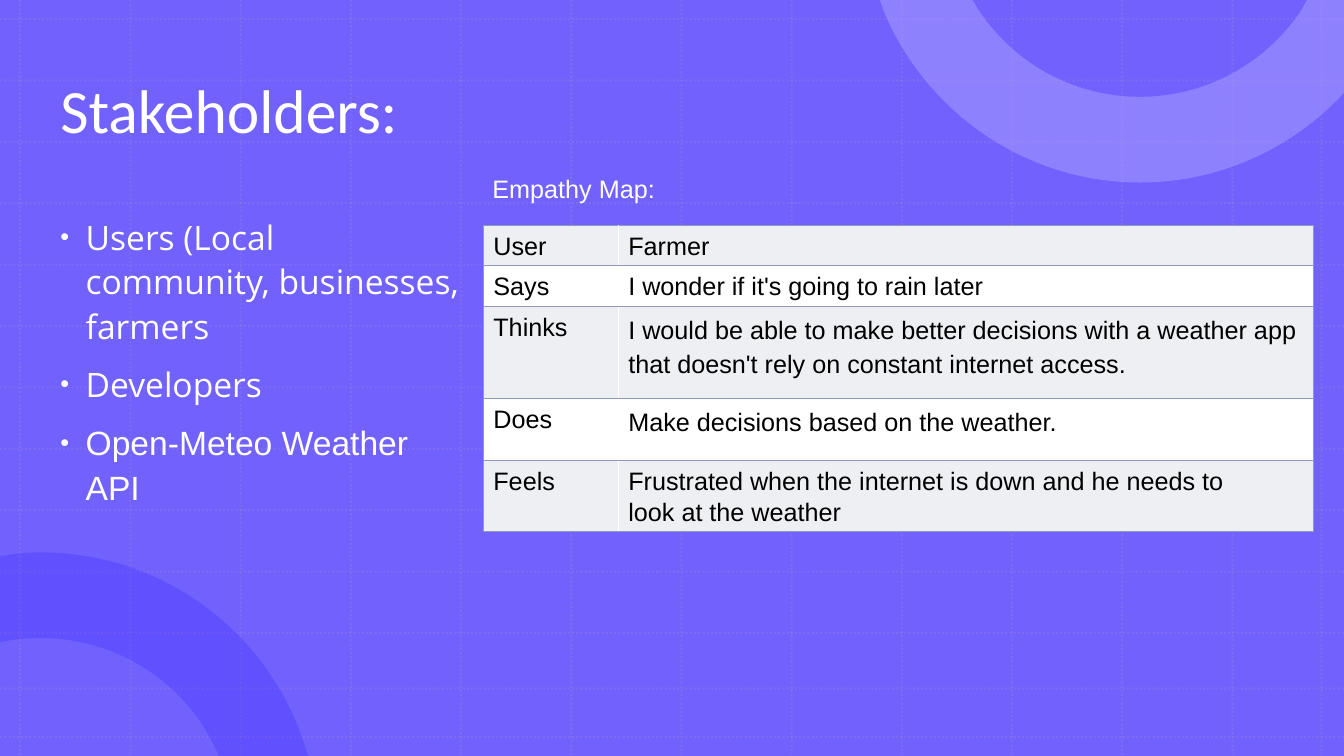
from lxml.etree import SubElement
from pptx import Presentation
from pptx.dml.color import RGBColor
from pptx.enum.dml import MSO_LINE
from pptx.enum.shapes import MSO_CONNECTOR, MSO_SHAPE
from pptx.enum.text import MSO_ANCHOR
from pptx.oxml.ns import qn
from pptx.util import Cm, Pt

WIDE, HIGH = 33.87, 19.05
HARD = chr(160)
COLORS = {"back": "7162FE", "grid": "B495C2", "low": "220BFD", "top": "AAA1FE",
          "white": "FFFFFF", "black": "000000", "band": "EEEFF3", "edge": "8F99BB"}
LOW = [[(1.02, 13.92)], [(4.17, 13.92), (6.83, 16), (7.7, 18.85)],
       [(7.77, HIGH)], [(5.51, HIGH)], [(5.51, 19.03)],
       [(4.78, 17.3), (3.05, 16.08), (1.02, 16.08)],
       [(0.69, 16.08), (0.36, 16.1), (0.05, 16.18)],
       [(-0.02, 16.18)], [(-0.02, 14.02)], [(0.3, 13.97)],
       [(0.53, 13.94), (0.79, 13.92), (1.02, 13.92)]]
TOP = [[(22.17, 0)], [(24.51, 0)], [(24.69, 0.3)],
       [(25.58, 1.6), (27.05, 2.44), (28.73, 2.44)],
       [(30.4, 2.44), (31.88, 1.6), (32.77, 0.3)],
       [(32.94, 0)], [(WIDE, 0)], [(WIDE, 2.34)], [(33.68, 2.54)],
       [(32.41, 3.81), (30.66, 4.6), (28.73, 4.6)],
       [(25.83, 4.6), (23.34, 2.82), (22.28, 0.3)]]
USERS = [("Users (Local community, businesses, farmers", "Open Sans"),
         ("Developers", "Open Sans"), ("Open-Meteo Weather API", "Arial")]
ROWS = [
    ("User", "Farmer", 0.87, 21.8),
    ("Says", "I wonder if it's going to rain later", 0.87, 21.8),
    ("Thinks", f"I would{HARD}be able to make better decisions with a weather{HARD}app "
     f"that{HARD}doesn't{HARD}rely on constant internet access.", 2.31, 24),
    ("Does", "Make decisions based on the weather.", 1.58, 24),
    ("Feels", "Frustrated when the internet is down and he needs to "
     f"look{HARD}at the weather", 1.52, 21.8),
]


def color(name):
    """Return the named colour."""
    return RGBColor.from_string(COLORS[name])


def fade(part, alpha):
    """Make the solid fill below an element partly clear."""
    tint = next(part.iter(qn("a:srgbClr")))
    SubElement(tint, qn("a:alpha"), val=str(alpha * 1000))


def paint(shape, name):
    """Give a shape a plain fill with no line or shadow."""
    shape.shadow.inherit = False
    shape.fill.solid()
    shape.fill.fore_color.rgb = color(name)
    shape.line.fill.background()


def rule(slide, x1, y1, x2, y2):
    """Draw one dotted grid line."""
    line = slide.shapes.add_connector(MSO_CONNECTOR.STRAIGHT,
                                      Cm(x1), Cm(y1), Cm(x2), Cm(y2))
    line.line.color.rgb = color("grid")
    line.line.width = Pt(1.5)
    line.line.dash_style = MSO_LINE.ROUND_DOT
    props = line._element.spPr
    fade(props, 20)
    SubElement(props, qn("a:effectLst"))


def grid(slide):
    """Draw the grid across the slide."""
    for x in [0.51 + 30.55 * i / 11 for i in range(12)] + [33.3]:
        rule(slide, x, 0, x, HIGH)
    for y in [0.48 + 15.47 * i / 10 for i in range(11)] + [17.35, 18.57]:
        rule(slide, 0, y, WIDE, y)


def ring(slide, steps, name, alpha):
    """Draw a ring part; steps of three points become curves."""
    dots = [(Cm(x), Cm(y)) for step in steps for x, y in step]
    build = slide.shapes.build_freeform(*dots[0])
    build.add_line_segments(dots[1:])
    shape = build.convert_to_shape()
    lines = list(shape._element.iter(qn("a:lnTo")))
    for step in steps[1:]:
        group, lines = lines[:len(step)], lines[len(step):]
        if len(group) == 3:
            curve = SubElement(group[0].getparent(), qn("a:cubicBezTo"))
            group[0].addprevious(curve)
            for line in group:
                curve.append(line[0])
                line.getparent().remove(line)
    paint(shape, name)
    fade(shape._element.spPr, alpha)


def style(para, size, font, name):
    """Format the runs of a paragraph."""
    for run in para.runs:
        run.font.size = Pt(size)
        run.font.name = font
        run.font.color.rgb = color(name)


def label(slide, x, y, wide, high, text, size, font):
    """Add a wrapped text box with one white line."""
    frame = slide.shapes.add_textbox(Cm(x), Cm(y), Cm(wide), Cm(high)).text_frame
    frame.word_wrap = True
    frame.text = text
    style(frame.paragraphs[0], size, font, "white")
    return frame


def bullet(para):
    """Give a paragraph a small white bullet."""
    props = para._p.get_or_add_pPr()
    props.set("marL", str(Cm(0.64)))
    props.set("indent", str(-Cm(0.64)))
    tint = SubElement(props, qn("a:buClr"))
    SubElement(tint, qn("a:srgbClr"), val=COLORS["white"])
    SubElement(props, qn("a:buSzPct"), val="75000")
    SubElement(props, qn("a:buFont"), typeface="Arial")
    SubElement(props, qn("a:buChar"), char="•")


def points(slide, x, y, wide, high, items):
    """Add a bullet list."""
    frame = slide.shapes.add_textbox(Cm(x), Cm(y), Cm(wide), Cm(high)).text_frame
    frame.word_wrap = True
    for i, (text, font) in enumerate(items):
        para = frame.add_paragraph() if i else frame.paragraphs[0]
        para.text = text
        bullet(para)
        para.line_spacing = 1.1
        if i:
            para.space_before = Pt(10)
        style(para, 24, font, "white")


def border(cell, side, name, width):
    """Draw one border of a cell."""
    props = cell._tc.get_or_add_tcPr()
    line = SubElement(props, qn("a:ln" + side), w=str(Pt(width)))
    fill = SubElement(line, qn("a:solidFill"))
    SubElement(fill, qn("a:srgbClr"), val=COLORS[name])


def fill_cell(cell, text, space, inner, name):
    """Write and format one cell."""
    for side in "LRTB":
        border(cell, side, *(("white", 1) if side == inner else ("edge", 0.75)))
    cell.fill.solid()
    cell.fill.fore_color.rgb = color(name)
    cell.text = text
    para = cell.text_frame.paragraphs[0]
    para.line_spacing = Pt(space)
    style(para, 18, "Arial", "black")


def table(slide, x, y, wides, rows):
    """Add the empathy table."""
    high = sum(row[2] for row in rows)
    cells = slide.shapes.add_table(len(rows), 2, Cm(x), Cm(y),
                                   Cm(sum(wides)), Cm(high)).table
    cells.first_row = cells.horz_banding = False
    for col, wide in zip(cells.columns, wides):
        col.width = Cm(wide)
    for i, (head, text, tall, space) in enumerate(rows):
        cells.rows[i].height = Cm(tall)
        name = "white" if i % 2 else "band"
        fill_cell(cells.cell(i, 0), head, 21.8, "R", name)
        fill_cell(cells.cell(i, 1), text, space, "L", name)


def main():
    """Build the slide and save it."""
    deck = Presentation()
    deck.slide_width, deck.slide_height = Cm(WIDE), Cm(HIGH)
    slide = deck.slides.add_slide(deck.slide_layouts[6])
    back = slide.shapes.add_shape(MSO_SHAPE.RECTANGLE, 0, 0, Cm(WIDE), Cm(HIGH))
    paint(back, "back")
    grid(slide)
    ring(slide, LOW, "low", 20)
    ring(slide, TOP, "top", 50)
    title = label(slide, 1.27, 1.02, 29.79, 3.68, "Stakeholders:", 44, "Calibri")
    title.vertical_anchor = MSO_ANCHOR.MIDDLE
    title.paragraphs[0].line_spacing = 0.9
    points(slide, 1.27, 5.24, 10.67, 11.91, USERS)
    table(slide, 12.18, 5.67, (3.4, 17.53), ROWS)
    label(slide, 12.16, 4.24, 19.56, 1.02, "Empathy Map:", 18, "Arial")
    deck.save("out.pptx")


if __name__ == "__main__":
    main()
